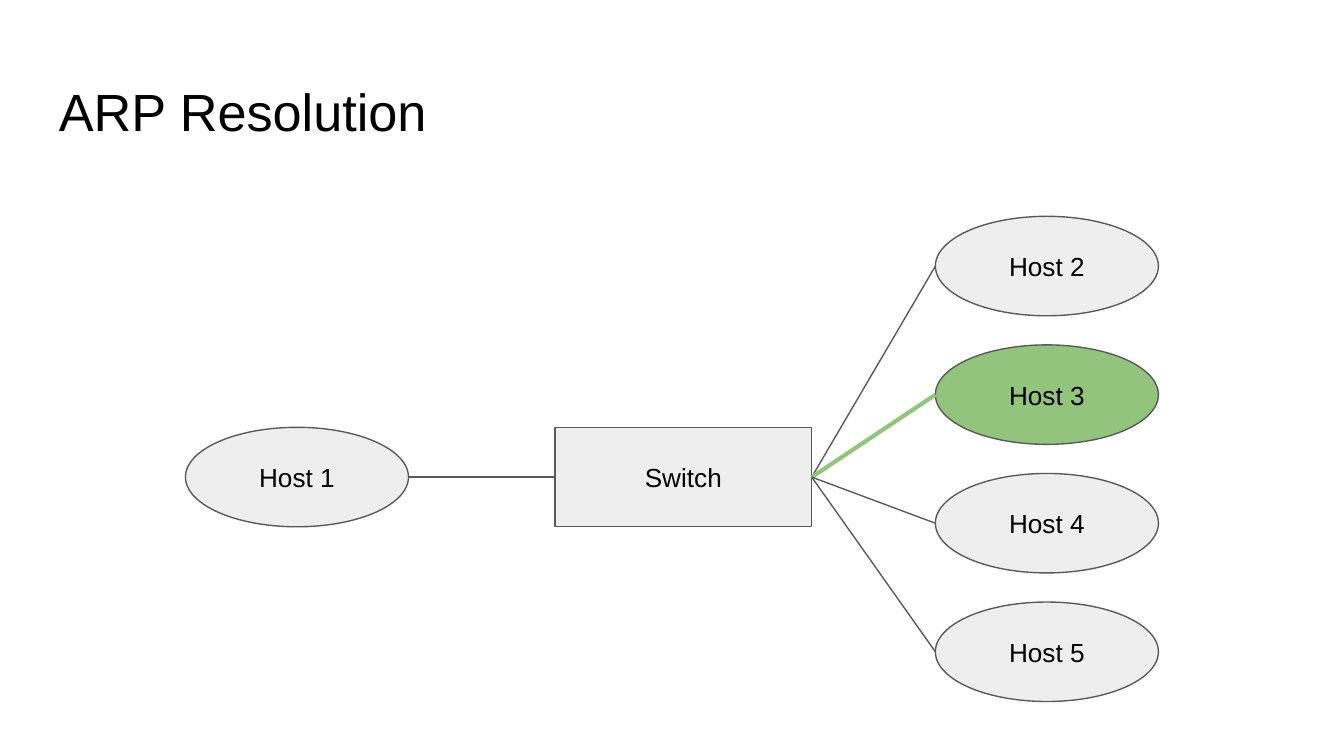
from lxml import etree
from pptx import Presentation
from pptx.dml.color import RGBColor
from pptx.enum.shapes import MSO_CONNECTOR, MSO_SHAPE
from pptx.enum.text import MSO_ANCHOR, PP_ALIGN
from pptx.oxml.ns import qn
from pptx.util import Inches, Pt

ELLIPSE, RECTANGLE = MSO_SHAPE.OVAL, MSO_SHAPE.RECTANGLE
STRAIGHT = MSO_CONNECTOR.STRAIGHT
TOP, MIDDLE = MSO_ANCHOR.TOP, MSO_ANCHOR.MIDDLE
LEFT, CENTER = PP_ALIGN.LEFT, PP_ALIGN.CENTER

BLACK = RGBColor(0x00, 0x00, 0x00)
GRAY = RGBColor(0x59, 0x59, 0x59)
LIGHT_GRAY = RGBColor(0xEE, 0xEE, 0xEE)
GREEN = RGBColor(0x93, 0xC4, 0x7D)

# 16:9 page
PAGE_WIDTH = Inches(10)
PAGE_HEIGHT = PAGE_WIDTH * 9 // 16

NODE_HEIGHT = 0.74
HOST_WIDTH = 1.66
SWITCH_WIDTH = 1.91
ROW_TOP = 3.18
RECEIVERS = ["Host 2", "Host 3", "Host 4", "Host 5"]
TARGET_HOST = "Host 3"
COLUMN_LEFT = 6.96
FIRST_TOP, LAST_TOP = 1.61, 4.48
HOST_PITCH = (LAST_TOP - FIRST_TOP) / (len(RECEIVERS) - 1)


def set_values(target, values):
    for name, value in values.items():
        setattr(target, name, value)


def write_text(shape, text, size, align, anchor):
    frame = shape.text_frame
    inset = Inches(0.1)
    set_values(frame, {
        "word_wrap": True, "vertical_anchor": anchor,
        "margin_left": inset, "margin_right": inset,
        "margin_top": inset, "margin_bottom": inset,
    })
    para = frame.paragraphs[0]
    para.alignment = align
    span = para.add_run()
    span.text = text
    set_values(span.font, {"name": "Arial", "size": Pt(size)})
    span.font.color.rgb = BLACK


def add_title(page, text):
    box = page.shapes.add_textbox(
        Inches(0.34), Inches(0.49), Inches(9.32), Inches(0.63))
    write_text(box, text, 28, LEFT, TOP)


def add_node(page, kind, text, left, top, width, fill=LIGHT_GRAY):
    node = page.shapes.add_shape(
        kind, Inches(left), Inches(top), Inches(width), Inches(NODE_HEIGHT))
    node.shadow.inherit = False
    node.fill.solid()
    node.fill.fore_color.rgb = fill
    node.line.color.rgb = GRAY
    node.line.width = Pt(0.75)
    write_text(node, text, 14, CENTER, MIDDLE)
    return node


def add_link(page, source, target, color=GRAY, width=0.75):
    """Join the right side of source to the left side of target."""
    link = page.shapes.add_connector(
        STRAIGHT,
        source.left + source.width, source.top + source.height // 2,
        target.left, target.top + target.height // 2)
    link.line.color.rgb = color
    link.line.width = Pt(width)
    etree.SubElement(link._element.spPr, qn("a:effectLst"))


def main():
    deck = Presentation()
    set_values(deck, {"slide_width": PAGE_WIDTH, "slide_height": PAGE_HEIGHT})
    page = deck.slides.add_slide(deck.slide_layouts[6])

    add_title(page, "ARP Resolution")

    # Switch and sending host
    switch = add_node(page, RECTANGLE, "Switch", 4.13, ROW_TOP, SWITCH_WIDTH)
    sender = add_node(page, ELLIPSE, "Host 1", 1.38, ROW_TOP, HOST_WIDTH)

    # Receiving hosts, evenly spaced in a column
    hosts = {}
    for row, name in enumerate(RECEIVERS):
        hosts[name] = add_node(
            page, ELLIPSE, name, COLUMN_LEFT, FIRST_TOP + row * HOST_PITCH,
            HOST_WIDTH, GREEN if name == TARGET_HOST else LIGHT_GRAY)

    # Links, with the resolved one highlighted
    add_link(page, sender, switch)
    for name, host in hosts.items():
        if name == TARGET_HOST:
            add_link(page, switch, host, GREEN, 2.25)
        else:
            add_link(page, switch, host)

    deck.save("out.pptx")


main()
